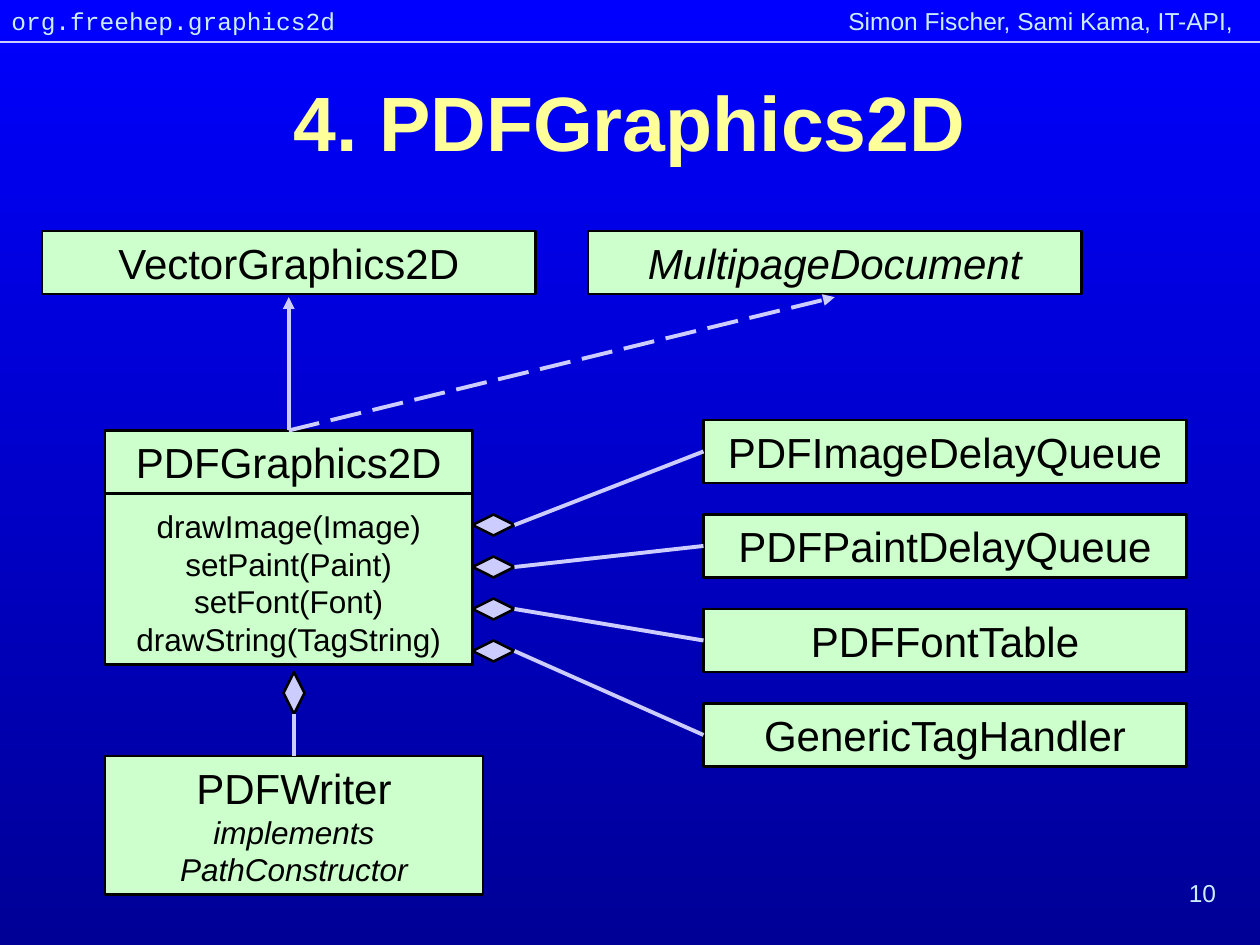
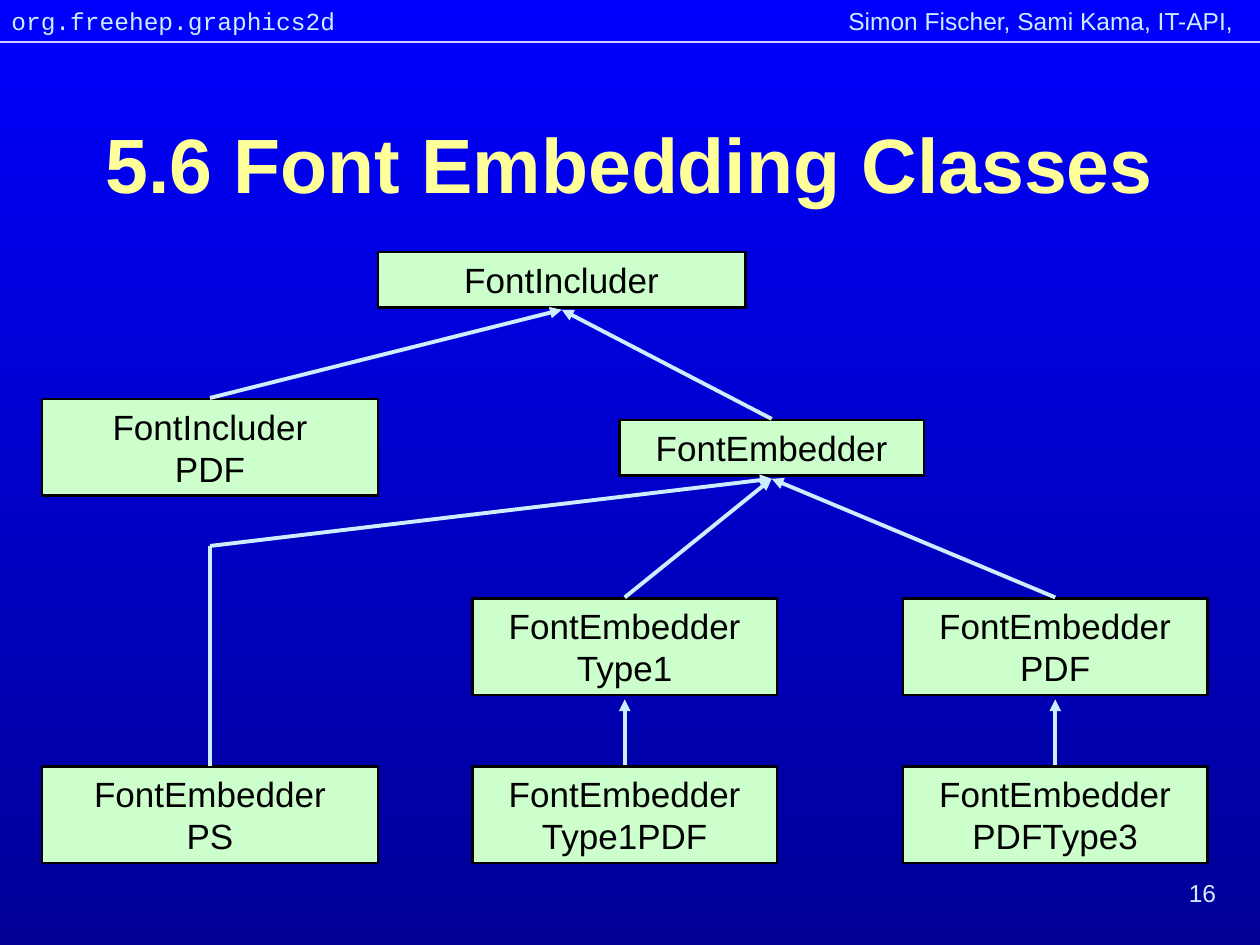
import pptx
import pptx.util
import pptx.dml.color
import pptx.enum.dml
import pptx.enum.shapes
import pptx.enum.text
import pptx.oxml.ns
from lxml import etree

COLORS = {
    "top": "0000FF", "bottom": "000096", "title": "FFFF99", "header": "CCECFF",
    "box": "CCFFCC", "lilac": "CCCCFF", "black": "000000",
}
RGB = {name: pptx.dml.color.RGBColor.from_string(value) for name, value in COLORS.items()}
Pt = pptx.util.Pt
SHAPE = pptx.enum.shapes.MSO_SHAPE
ALIGN = pptx.enum.text.PP_ALIGN

# The slide is a grid of 120 columns and 90 rows
COLUMNS, ROWS = 120, 90
CELL = pptx.util.Inches(10) // COLUMNS


def write(shape, paragraphs, color, align, font="Arial", bold=False):
    """Each paragraph is a list of runs: (text, size, italic)."""
    frame = shape.text_frame
    frame.word_wrap = True
    frame.vertical_anchor = pptx.enum.text.MSO_ANCHOR.TOP
    for index, runs in enumerate(paragraphs):
        paragraph = frame.add_paragraph() if index else frame.paragraphs[0]
        paragraph.alignment = align
        paragraph.space_before = Pt(runs[0][1] * 0.625)
        for text, size, italic in runs:
            for number, line in enumerate(text.split("\n")):
                if number:
                    paragraph.add_line_break()
                run = paragraph.add_run()
                run.text = line
                run.font.name = font
                run.font.size = Pt(size)
                run.font.bold = bold
                run.font.italic = italic
                run.font.color.rgb = RGB[color]


def connect(slide, start, end, color, width=2.25, arrow=False, dashed=False):
    points = [int(value * CELL) for value in (*start, *end)]
    line = slide.shapes.add_connector(pptx.enum.shapes.MSO_CONNECTOR.STRAIGHT, *points)
    line.line.color.rgb = RGB[color]
    line.line.width = Pt(width)
    if dashed:
        line.line.dash_style = pptx.enum.dml.MSO_LINE.LONG_DASH
    properties = line._element.spPr
    if arrow:
        outline = properties.find(pptx.oxml.ns.qn("a:ln"))
        etree.SubElement(outline, pptx.oxml.ns.qn("a:tailEnd"), type="triangle")
    etree.SubElement(properties, pptx.oxml.ns.qn("a:effectLst"))


# Slide 10: the parts of PDFGraphics2D
methods = "drawImage(Image)\nsetPaint(Paint)\nsetFont(Font)\ndrawString(TagString)"
part_names = ["PDFImageDelayQueue", "PDFPaintDelayQueue", "PDFFontTable", "GenericTagHandler"]
graphics_boxes = [
    (4, 22, 47, 6, [[("VectorGraphics2D", 24, False)]]),
    (56, 22, 47, 6, [[("MultipageDocument", 24, True)]]),
    (10, 41, 35, 22.3, [[("PDFGraphics2D", 24, False)], [(methods, 18, False)]]),
    (10, 72, 36, 13.2, [[("PDFWriter ", 24, False), ("implements PathConstructor", 18, True)]]),
]
graphics_lines = [
    ((27.5, 41), (27.5, 28.3), True, False),
    ((27.5, 41), (79.5, 28.3), True, True),
    ((28, 72), (28, 68), False, False),
]
graphics_diamonds = [(27, 64, 2, 4)]
for row, name in enumerate(part_names):
    graphics_boxes.append((67, 40 + 9 * row, 46, 6, [[(name, 24, False)]]))
    graphics_lines.append(((49, 50 + 4 * row), (67, 43 + 9 * row), False, False))
    graphics_diamonds.append((45, 49 + 4 * row, 4, 2))

# Slide 16: the tree of font classes
font_boxes = [
    (left, top, width, 9.2 if "\n" in name else 5.3, [[(name, 20, False)]])
    for left, top, width, name in [
        (36, 24, 35, "FontIncluder"),
        (4, 38, 32, "FontIncluder\nPDF"),
        (59, 40, 29, "FontEmbedder"),
        (45, 57, 29, "FontEmbedder\nType1"),
        (86, 57, 29, "FontEmbedder\nPDF"),
        (4, 73, 32, "FontEmbedder\nPS"),
        (45, 73, 29, "FontEmbedder\nType1PDF"),
        (86, 73, 29, "FontEmbedder\nPDFType3"),
    ]
]
includer, embedder = (53.5, 29.5), (73.5, 45.6)
font_lines = [
    (start, end, arrow, False)
    for start, end, arrow in [
        ((20, 37.9), includer, True),
        ((73.5, 39.9), includer, True),
        ((59.5, 56.9), embedder, True),
        ((100.5, 56.9), embedder, True),
        ((59.5, 72.9), (59.5, 66.6), True),
        ((100.5, 72.9), (100.5, 66.6), True),
        ((20, 73), (20, 52), False),
        ((20, 52), embedder, True),
    ]
]

slides = [
    ("10", "4. PDFGraphics2D", 4, "lilac", graphics_boxes, graphics_lines, graphics_diamonds),
    ("16", "5.6 Font Embedding Classes", 8, "header", font_boxes, font_lines, []),
]

presentation = pptx.Presentation()
presentation.slide_width = COLUMNS * CELL
presentation.slide_height = ROWS * CELL

for page, title, title_top, line_color, boxes, lines, diamonds in slides:
    slide = presentation.slides.add_slide(presentation.slide_layouts[6])

    # Background gradient, from top to bottom
    fill = slide.background.fill
    fill.gradient()
    fill.gradient_angle = 270
    for stop, name in zip(fill.gradient_stops, ("top", "bottom")):
        stop.color.rgb = RGB[name]

    # Header, title and page number
    for left, top, width, height, text, size, color, align, font in [
        (70.3, 0, 49, 4, "Simon Fischer, Sami Kama, IT-API, ", 14, "header", ALIGN.RIGHT, "Arial"),
        (-0.1, 0, 34, 4, "org.freehep.graphics2d", 14, "header", ALIGN.LEFT, "Courier New"),
        (7, title_top, 106, 15, title, 44, "title", ALIGN.CENTER, "Arial"),
        (111, 83, 6, 4, page, 14, "header", ALIGN.RIGHT, "Arial"),
    ]:
        place = [int(value * CELL) for value in (left, top, width, height)]
        label = slide.shapes.add_textbox(*place)
        is_title = color == "title"
        write(label, [[(text, size, False)]], color, align, font, bold=is_title)
        if is_title:
            label.text_frame.vertical_anchor = pptx.enum.text.MSO_ANCHOR.MIDDLE
    connect(slide, (0, 4), (COLUMNS, 4), "lilac", width=1.5)

    # Class boxes and aggregation diamonds
    shapes = [(SHAPE.RECTANGLE, "box", *box) for box in boxes]
    shapes += [(SHAPE.DIAMOND, "lilac", *diamond, []) for diamond in diamonds]
    for kind, color, left, top, width, height, paragraphs in shapes:
        place = [int(value * CELL) for value in (left, top, width, height)]
        shape = slide.shapes.add_shape(kind, *place)
        shape.shadow.inherit = False
        shape.fill.solid()
        shape.fill.fore_color.rgb = RGB[color]
        shape.line.color.rgb = RGB["black"]
        shape.line.width = Pt(1.5)
        write(shape, paragraphs, "black", ALIGN.CENTER)

    # Relations between the classes
    for start, end, arrow, dashed in lines:
        connect(slide, start, end, line_color, arrow=arrow, dashed=dashed)
    if diamonds:
        connect(slide, (10, 47), (45, 47), "black", width=1.5)

presentation.save("out.pptx")
